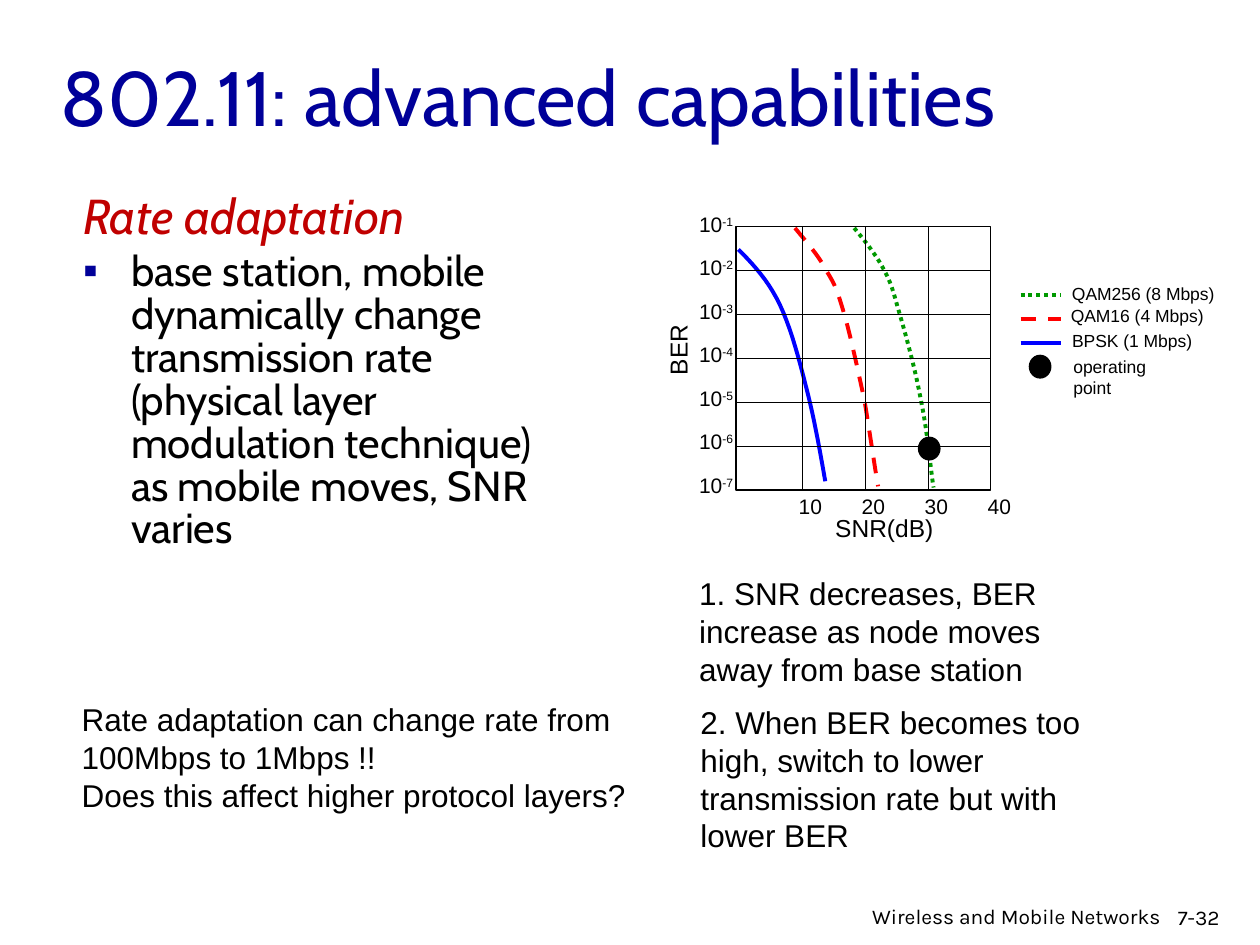
from lxml import etree
from pptx import Presentation
from pptx.dml.color import RGBColor
from pptx.enum.dml import MSO_LINE
from pptx.enum.shapes import MSO_CONNECTOR, MSO_SHAPE
from pptx.enum.text import MSO_ANCHOR, MSO_AUTO_SIZE, PP_ALIGN
from pptx.oxml.ns import qn
from pptx.util import Inches, Pt

STRAIGHT = MSO_CONNECTOR.STRAIGHT
DASH, DOTS = MSO_LINE.DASH, MSO_LINE.ROUND_DOT
LEFT, RIGHT = PP_ALIGN.LEFT, PP_ALIGN.RIGHT

BLACK = RGBColor(0x00, 0x00, 0x00)
NAVY = RGBColor(0x00, 0x00, 0x99)
CRIMSON = RGBColor(0xC0, 0x00, 0x00)
BLUE = RGBColor(0x00, 0x00, 0xFF)
RED = RGBColor(0xFF, 0x00, 0x00)
GREEN = RGBColor(0x00, 0x99, 0x00)

deck = Presentation()
deck.slide_width, deck.slide_height = Inches(10), Inches(7.5)
page = deck.slides.add_slide(deck.slide_layouts[1])
shapes = page.shapes


def add_text(place, lines, size, font="Arial", wrap=False, align=LEFT):
    """Add a black text box with one paragraph per line."""
    box = shapes.add_textbox(*(Inches(v) for v in place))
    frame = box.text_frame
    frame.text = "\n".join(lines)
    frame.word_wrap = wrap
    for para in frame.paragraphs:
        para.alignment = align
        for span in para.runs:
            span.font.name, span.font.size = font, Pt(size)
            span.font.color.rgb = BLACK
    return box


def add_line(start, end, color=BLACK, width=0.75, dash=None):
    line = shapes.add_connector(STRAIGHT, *(Inches(v) for v in start + end))
    line.line.color.rgb = color
    line.line.width = Pt(width)
    line.line.dash_style = dash
    etree.SubElement(line._element.spPr, qn("a:effectLst"))


# Title and list
title, body = shapes.title, page.placeholders[1]
title.text_frame.text = "802.11: advanced capabilities"
body.text_frame.text = (
    "Rate adaptation\n"
    "base station, mobile dynamically change transmission rate "
    "(physical layer modulation technique) as mobile moves, SNR varies"
)
for holder, place, anchor in (
    (title, (0.38, 0.3, 8.5, 0.92), MSO_ANCHOR.MIDDLE),
    (body, (0.56, 1.49, 4.1, 5.08), MSO_ANCHOR.TOP),
):
    holder.left, holder.top, holder.width, holder.height = (Inches(v) for v in place)
    holder.text_frame.auto_size = MSO_AUTO_SIZE.NONE
    holder.text_frame.vertical_anchor = anchor

heading, bullet = body.text_frame.paragraphs
for para, size, color in (
    (title.text_frame.paragraphs[0], 44, NAVY),
    (heading, 28, CRIMSON),
    (bullet, 24, BLACK),
):
    para.alignment = LEFT
    font = para.runs[0].font
    font.name, font.size, font.color.rgb = "Cabin", Pt(size), color
heading.runs[0].font.italic = True

for para, space in ((heading, 5.6), (bullet, 4.8)):
    para.line_spacing = 0.85
    para.space_before = Pt(space)
    props = para._p.get_or_add_pPr()
    props.set("marL", str(Inches(0.38)))
    props.set("indent", str(Inches(-0.38)))
etree.SubElement(heading._p.pPr, qn("a:buNone"))
bullet_color = etree.SubElement(bullet._p.pPr, qn("a:buClr"))
etree.SubElement(bullet_color, qn("a:srgbClr"), val=str(NAVY))
etree.SubElement(bullet._p.pPr, qn("a:buFont"), typeface="Arial")
etree.SubElement(bullet._p.pPr, qn("a:buChar"), char="▪")

# Curves: a start point, then two control points and an end point per Bézier piece
curves = [
    (BLUE, None, [(5.86, 1.98), (5.98, 2.1), (6.1, 2.23), (6.19, 2.42),
                  (6.28, 2.61), (6.35, 2.88), (6.41, 3.12),
                  (6.47, 3.35), (6.53, 3.71), (6.55, 3.82)]),
    (RED, DASH, [(6.31, 1.81), (6.4, 1.92), (6.5, 2.03), (6.56, 2.15),
                 (6.63, 2.26), (6.65, 2.32), (6.7, 2.49),
                 (6.75, 2.66), (6.81, 2.94), (6.86, 3.17),
                 (6.9, 3.4), (6.93, 3.63), (6.97, 3.86)]),
    (GREEN, DOTS, [(6.78, 1.81), (6.87, 1.92), (6.96, 2.03), (7.02, 2.15),
                   (7.08, 2.26), (7.09, 2.32), (7.14, 2.49),
                   (7.19, 2.66), (7.27, 2.95), (7.31, 3.18),
                   (7.36, 3.41), (7.39, 3.76), (7.41, 3.87)]),
]
STEPS = 10
for color, dash, knots in curves:
    points = []
    for i in range(0, len(knots) - 1, 3):
        for step in range(1, STEPS + 1):
            t = step / STEPS
            weights = ((1 - t) ** 3, 3 * t * (1 - t) ** 2, 3 * t * t * (1 - t), t ** 3)
            points.append([
                Inches(sum(w * knot[axis] for w, knot in zip(weights, knots[i:i + 4])))
                for axis in (0, 1)
            ])
    builder = shapes.build_freeform(*(Inches(v) for v in knots[0]))
    builder.add_line_segments(points, close=False)
    curve = builder.convert_to_shape()
    curve.shadow.inherit = False
    curve.fill.background()
    curve.line.color.rgb = color
    curve.line.width = Pt(2.25)
    curve.line.dash_style = dash

# Plot frame and grid
X0, Y0, WIDTH, HEIGHT = 5.84, 1.8, 2.02, 2.09
ROW, COLUMN = HEIGHT / 6, 0.5
frame_box = shapes.add_shape(
    MSO_SHAPE.RECTANGLE, *(Inches(v) for v in (X0, Y0, WIDTH, HEIGHT)))
frame_box.shadow.inherit = False
frame_box.fill.background()
frame_box.line.color.rgb = BLACK
frame_box.line.width = Pt(0.75)
for row in range(1, 6):
    y = Y0 + row * ROW
    add_line((X0, y), (X0 + WIDTH, y))
for column in range(3):
    x = 6.37 + column * COLUMN
    add_line((x, Y0), (x, Y0 + HEIGHT))

# Axis labels
for column in range(4):
    add_text((6.24 + column * COLUMN, 3.87, 0.39, 0.3), [str(10 * (column + 1))], 12)
for row in range(7):
    label = add_text((5.45, 1.63 + row * 0.345, 0.48, 0.3), ["10"], 12)
    exponent = label.text_frame.paragraphs[0].add_run()
    exponent.text = f"-{row + 1}"
    exponent.font.name, exponent.font.size = "Arial", Pt(12)
    exponent.font.color.rgb = BLACK
    exponent.font._element.set("baseline", "30000")
add_text((6.53, 4.02, 0.98, 0.33), ["SNR(dB)"], 14)
add_text((5.08, 2.61, 0.6, 0.33), ["BER"], 14).rotation = 270

# Legend, and the operating point in the plot and in the legend
for y, color, dash in ((2.34, GREEN, DOTS), (2.53, RED, DASH), (2.72, BLUE, None)):
    add_line((8.1, y), (8.42, y), color, 2.25, dash)
for x, y, width, label in (
    (8.41, 2.2, 1.33, "QAM256 (8 Mbps)"),
    (8.4, 2.37, 1.26, "QAM16 (4 Mbps)"),
    (8.41, 2.57, 1.15, "BPSK (1 Mbps)"),
    (8.42, 2.78, 1.11, "operating point"),
):
    add_text((x, y, width, 0.27), [label], 10)
for x, y in ((7.29, 3.47), (8.17, 2.82)):
    dot = shapes.add_shape(MSO_SHAPE.OVAL, *(Inches(v) for v in (x, y, 0.17, 0.18)))
    dot.shadow.inherit = False
    dot.fill.solid()
    dot.fill.fore_color.rgb = BLACK
    dot.line.color.rgb = BLACK
    dot.line.width = Pt(0.75)

# Remarks and footer
add_text((5.45, 4.51, 3.5, 1),
         ["1. SNR decreases, BER increase as node moves away from base station"], 18, wrap=True)
add_text((5.46, 5.53, 3.5, 1.3),
         ["2. When BER becomes too high, switch to lower transmission rate but with lower BER"],
         18, wrap=True)
add_text((0.55, 5.51, 4.91, 1),
         ["Rate adaptation can change rate from", "100Mbps to 1Mbps !!",
          "Does this affect higher protocol layers?"], 18)
add_text((9.25, 7.13, 0.75, 0.3), ["7-32"], 12, "Karla", wrap=True)
add_text((6.4, 7.12, 2.95, 0.28), ["Wireless and Mobile Networks "], 12, "Karla", True, RIGHT)

deck.save("out.pptx")
